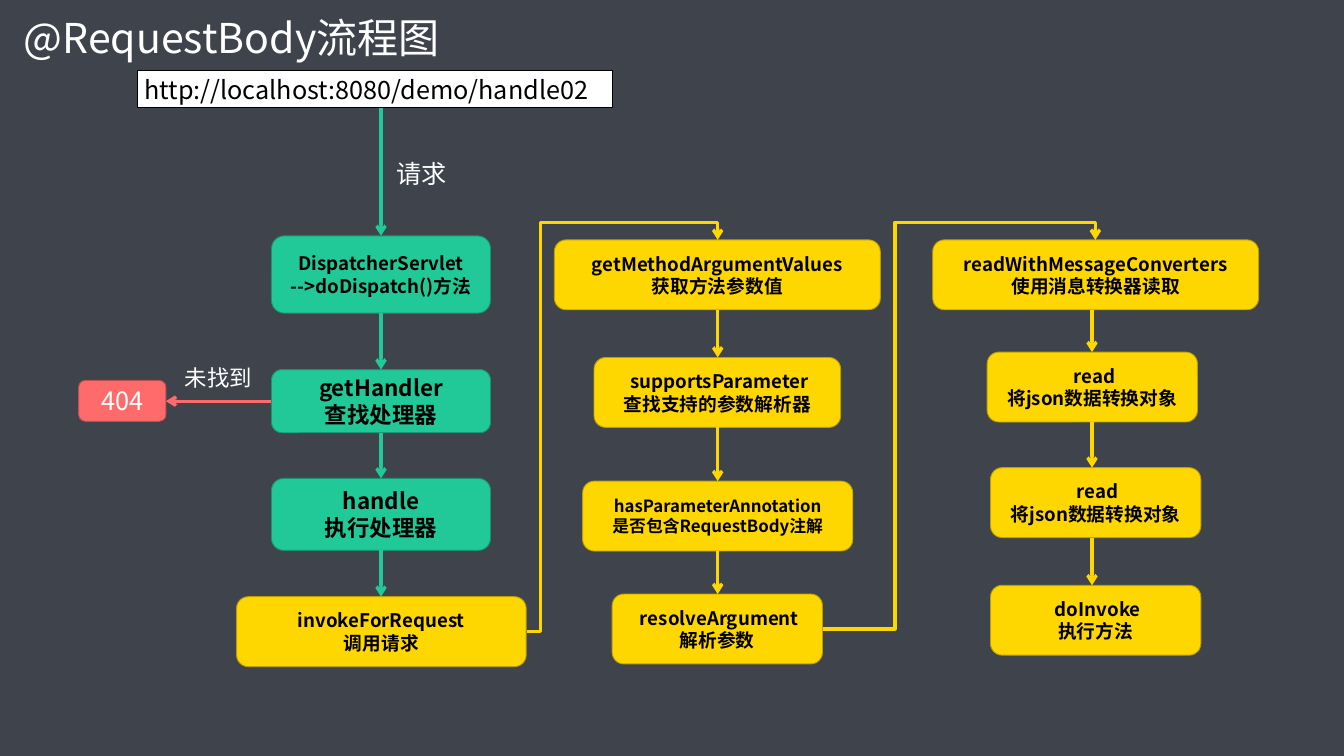
from lxml import etree
from pptx import Presentation
from pptx import util as u
from pptx.dml.color import RGBColor
from pptx.enum import shapes, text
from pptx.oxml import ns

FONT = "Noto Sans CJK SC"
WHITE, BLACK, SLATE = "FFFFFF", "000000", "3F434C"
GREEN, YELLOW, RED = "20C997", "FFD700", "FF6B6B"
EDGES = {GREEN: "189570", YELLOW: "BD9F00", RED: "BD4F4F", WHITE: BLACK}

# Each step: left, top, width, height, fill, size, lines
REQUEST_STEPS = [
    (4.04, 3.51, 3.26, 1.15, GREEN, 20, "DispatcherServlet\n-->doDispatch()方法"),
    (4.04, 5.5, 3.26, 0.94, GREEN, 24, "getHandler\n查找处理器"),
    (4.04, 7.12, 3.26, 1.07, GREEN, 24, "handle\n执行处理器"),
    (3.52, 8.88, 4.31, 1.04, YELLOW, 20, "invokeForRequest\n调用请求"),
]
ARGUMENT_STEPS = [
    (8.25, 3.57, 4.85, 1.04, YELLOW, 20, "getMethodArgumentValues\n获取方法参数值"),
    (8.84, 5.32, 3.67, 1.04, YELLOW, 20, " supportsParameter\n查找支持的参数解析器"),
    (8.67, 7.16, 4.02, 1.04, YELLOW, 18, "hasParameterAnnotation\n是否包含RequestBody注解"),
    (9.11, 8.84, 3.13, 1.04, YELLOW, 20, " resolveArgument\n解析参数"),
]
CONVERTER_STEPS = [
    (13.88, 3.57, 4.85, 1.04, YELLOW, 20, "readWithMessageConverters\n使用消息转换器读取"),
    (14.69, 5.24, 3.13, 1.04, YELLOW, 20, " read\n将json数据转换对象"),
    (14.74, 6.96, 3.13, 1.04, YELLOW, 20, " read\n将json数据转换对象"),
    (14.74, 8.71, 3.13, 1.04, YELLOW, 20, " doInvoke\n执行方法"),
]


def color(value):
    """Turn a hex string into a colour."""
    return RGBColor.from_string(value)


def write(frame, content, size, ink=WHITE, bold=False, centered=False, wrap=True):
    """Write the lines of content into a text frame."""
    frame.word_wrap = wrap
    frame.auto_size = text.MSO_AUTO_SIZE.NONE
    frame.vertical_anchor = text.MSO_ANCHOR.MIDDLE if centered else text.MSO_ANCHOR.TOP
    for index, line in enumerate(content.split("\n")):
        para = frame.add_paragraph() if index else frame.paragraphs[0]
        para.alignment = text.PP_ALIGN.CENTER if centered else text.PP_ALIGN.LEFT
        span = para.add_run()
        span.text = line
        span.font.name = FONT
        span.font.size = u.Pt(size)
        span.font.bold = bold
        span.font.color.rgb = color(ink)
        etree.SubElement(span.font._element, ns.qn("a:ea"), typeface=FONT)


def add_title(page, content):
    """Place and format the title placeholder."""
    title = page.shapes.title
    title.left, title.top = u.Inches(0.25), u.Inches(0.13)
    title.width, title.height = u.Inches(10.56), u.Inches(0.84)
    write(title.text_frame, content, 44)


def add_label(page, left, top, width, height, size, content):
    """Add a free caption beside an arrow."""
    box = page.shapes.add_textbox(*map(u.Inches, (left, top, width, height)))
    write(box.text_frame, content, size, wrap=False)


def add_box(page, left, top, width, height, fill, size, content,
            kind=shapes.MSO_SHAPE.ROUNDED_RECTANGLE, **style):
    """Add a filled, outlined box with text."""
    box = page.shapes.add_shape(kind, *map(u.Inches, (left, top, width, height)))
    box.shadow.inherit = False
    box.fill.solid()
    box.fill.fore_color.rgb = color(fill)
    box.line.color.rgb = color(EDGES[fill])
    box.line.width = u.Pt(1)
    write(box.text_frame, content, size, **style)


def add_arrow(page, start, end, paint, bends=()):
    """Add a straight arrow, or a bent one when bend shares are given."""
    kind = shapes.MSO_CONNECTOR.ELBOW if bends else shapes.MSO_CONNECTOR.STRAIGHT
    arrow = page.shapes.add_connector(kind, *map(u.Inches, (*start, *end)))
    arrow.line.color.rgb = color(paint)
    arrow.line.width = u.Pt(3.5)
    properties = arrow._element.spPr
    etree.SubElement(properties.find(ns.qn("a:ln")), ns.qn("a:tailEnd"), type="arrow")
    etree.SubElement(properties, ns.qn("a:effectLst"))
    if bends:
        geometry = properties.find(ns.qn("a:prstGeom"))
        geometry.set("prst", "bentConnector4")
        guides = geometry.find(ns.qn("a:avLst"))
        for number, share in enumerate(bends, 1):
            etree.SubElement(guides, ns.qn("a:gd"), name=f"adj{number}",
                             fmla=f"val {round(share * 100000)}")


def add_column(page, steps, center, paint):
    """Stack the steps of one column and join them with arrows."""
    for step in steps:
        add_box(page, *step, ink=BLACK, bold=True, centered=True)
    for (_, top, _, height, *_), below in zip(steps, steps[1:]):
        add_arrow(page, (center, top + height), (center, below[1]), paint)


def add_bridge(page, start, end, turn):
    """Lead from one column up and over to the head of the next."""
    lift = 0.26
    across, rise = end[0] - start[0], start[1] - end[1]
    add_arrow(page, start, end, YELLOW, ((turn - start[0]) / across, 1 + lift / rise))


def main():
    """Build the request flow slide."""
    deck = Presentation()
    deck.slide_width, deck.slide_height = u.Inches(20), u.Inches(11.25)
    page = deck.slides.add_slide(deck.slide_layouts[5])
    page.background.fill.solid()
    page.background.fill.fore_color.rgb = color(SLATE)
    add_title(page, "@RequestBody流程图")

    add_arrow(page, (5.67, 1.6), (5.67, 3.51), GREEN)
    add_label(page, 5.8, 2.3, 1.09, 0.55, 27, "请求")
    add_column(page, REQUEST_STEPS, 5.67, GREEN)
    add_column(page, ARGUMENT_STEPS, 10.68, YELLOW)
    add_column(page, CONVERTER_STEPS, 16.25, YELLOW)
    add_bridge(page, (7.84, 9.4), (10.68, 3.57), turn=8.04)
    add_bridge(page, (12.24, 9.36), (16.3, 3.57), turn=13.32)

    add_box(page, 1.17, 5.66, 1.3, 0.61, RED, 27, "404", centered=True)
    add_arrow(page, (4.04, 5.97), (2.47, 5.97), RED)
    add_label(page, 2.65, 5.37, 1.2, 0.5, 24, "未找到")
    add_box(page, 2.05, 1.05, 7.06, 0.55, WHITE, 27, "http://localhost:8080/demo/handle02",
            kind=shapes.MSO_SHAPE.RECTANGLE, ink=BLACK)
    deck.save("out.pptx")


if __name__ == "__main__":
    main()
